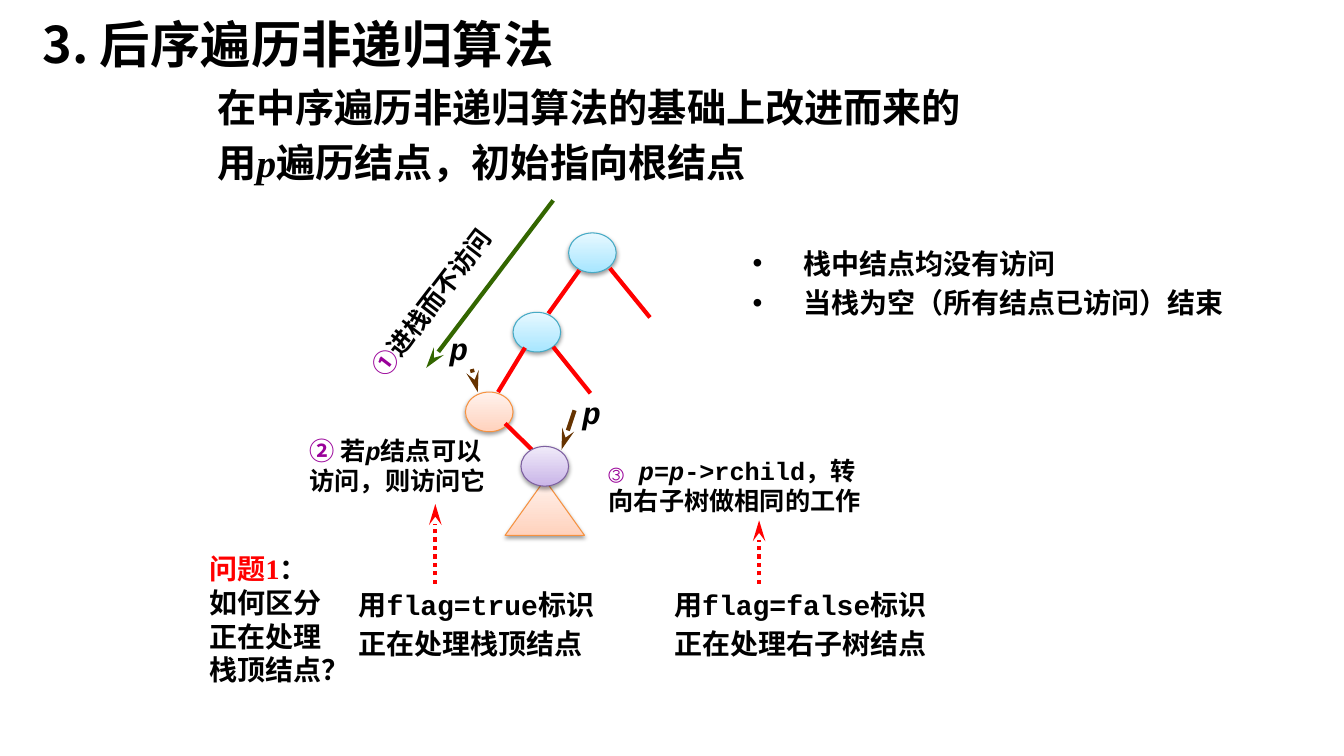
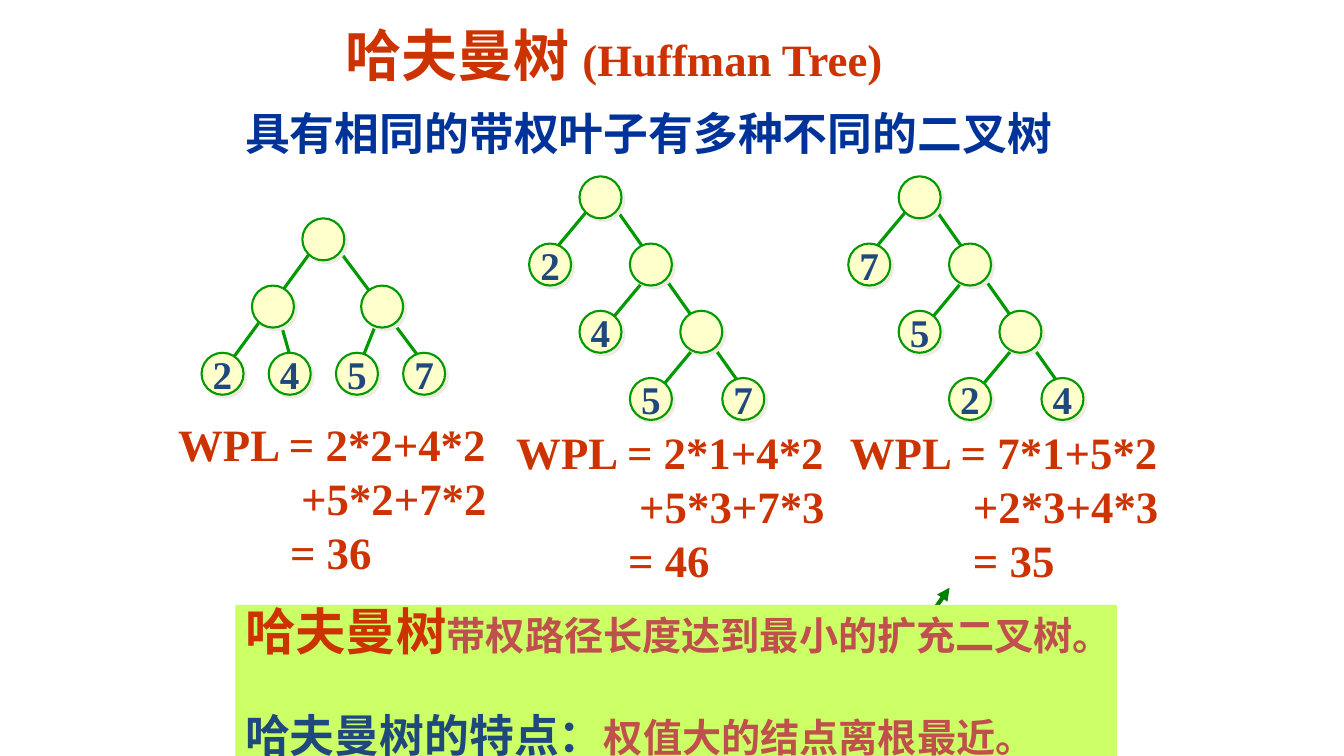
import pptx
import pptx.util
import pptx.dml.color
import pptx.enum.dml
import pptx.enum.shapes
import pptx.enum.text
import pptx.oxml.ns
import lxml.etree

Cm = pptx.util.Cm
Pt = pptx.util.Pt
SHAPE = pptx.enum.shapes.MSO_SHAPE
ANCHOR = pptx.enum.text.MSO_ANCHOR
ALIGN = pptx.enum.text.PP_ALIGN

HAN, SERIF, MONO = "Noto Sans CJK SC", "Times New Roman", "Courier New"
BLACK, RED, PURPLE = "000000", "FF0000", "990099"
BROWN, DARK_GREEN = "663300", "336600"
RUST, BRICK, NAVY, BLUE = "CC3300", "C0504D", "1F497D", "003399"
EDGE_GREEN, CREAM, LIME, ARROW_GREEN = "009900", "FFFFCC", "CCFF66", "008000"
LINE_PITCH = 1.2

SOFT_SHADOW = {"color": BLACK, "alpha": 38, "blur": 3.1, "dist": 1.6, "angle": 90}
HARD_SHADOW = {"color": "EEECE1", "alpha": 100, "blur": 0, "dist": 2.8, "angle": 45}
SKY = ("A7E6FF", "E7F8FF", "46AAC5")
PEACH = ("FFD2BD", "FFF2ED", "F69240")
LILAC = ("C9B5E8", "F0EAF9", "7D60A0")

ITALIC = {"italic": True}
MARK = {"color": PURPLE}

TRAVERSAL_TEXTS = [
    {"at": (0.82, 0.2, 21.01, 2.13), "size": 36, "font": HAN, "fill": "FFFFFF",
     "paras": [["3. 后序遍历非递归算法"]]},
    {"at": (5.23, 1.98, 23.09, 1.45), "size": 28, "font": HAN,
     "paras": [["在中序遍历非递归算法的基础上改进而来的"]]},
    {"at": (5.23, 3.36, 20.24, 1.45), "size": 28,
     "paras": [["用", ("p", ITALIC), "遍历结点，初始指向根结点"]]},
    {"at": (7.95, 6.22, 7.21, 1.02), "size": 18, "rotation": 307.4,
     "paras": [[("①", MARK), "进栈而不访问"]]},
    {"at": (7.8, 10.97, 4.78, 1.55), "size": 18, "font": MONO, "insets": (0, 0, 0, 0),
     "paras": [[("② ", MARK), "若", ("p", ITALIC), "结点可以访问，则访问它"]]},
    {"at": (15.34, 11.48, 6.76, 1.52), "size": 18, "font": MONO, "insets": (0, 0, 0, 0),
     "paras": [[("③ ", MARK), ("p", ITALIC), "=", ("p", ITALIC),
                "->rchild，转向右子树做相同的工作"]]},
    {"at": (18.72, 5.94, 14.05, 2.26), "size": 20, "spacing": 1.4, "bullet": True,
     "paras": [["栈中结点均没有访问"], ["当栈为空（所有结点已访问）结束"]]},
    {"at": (8.79, 14.88, 7.14, 1.96), "size": 20, "font": MONO, "spacing": 0.9, "before": 10,
     "paras": [["用flag=true标识"], ["正在处理栈顶结点"]]},
    {"at": (16.74, 14.88, 7.92, 1.96), "size": 20, "font": MONO, "spacing": 0.9, "before": 10,
     "paras": [["用flag=false标识"], ["正在处理右子树结点"]]},
    {"at": (5.03, 13.78, 3.76, 3.68), "size": 20,
     "paras": [[("问题1", {"color": RED}), "："], ["如何区分正在处理栈顶结点？"]]},
]
POINTER_LABELS = [(11.33, 8.31), (14.68, 9.91)]
UPPER_NODES = [(14.33, 5.87, SKY), (12.93, 7.87, SKY), (11.73, 9.88, PEACH)]
TOP_NODE = (13.13, 11.25, LILAC)
SUBTREE = (12.73, 12.09, 2, 1.4)
BRANCHES = [
    (14.6, 6.81, 13.82, 7.9),
    (13.23, 8.76, 12.55, 9.88),
    (15.37, 6.76, 16.38, 8),
    (13.94, 8.74, 14.88, 9.91),
    (12.73, 10.67, 13.74, 11.66),
]
STEP_ARROWS = [
    (11.89, 9.3, 12.04, 9.88, BROWN, False),
    (14.48, 10.34, 14.15, 11.33, BROWN, False),
    (13.94, 5.05, 10.74, 9.27, DARK_GREEN, False),
    (10.97, 14.71, 10.97, 12.7, RED, True),
    (19.13, 14.71, 19.13, 13.11, RED, True),
]

GRID = 2.54 / 12
NODE_CELLS = 5
BALANCED = {
    "edges": [(15, 2, 27, 18), (21, 12, 19, 17), (9, 11, 11, 18), (13, 4, 2, 19)],
    "inner": [(12, 0), (6, 8), (19, 8)],
    "leaves": [(0, 16), (8, 16), (16, 16), (24, 16)],
}
CHAIN = {
    "edges": [(7, 4, 2, 10), (14, 12, 9, 18), (20, 20, 15, 26), (9, 2, 26, 26)],
    "inner": [(6, 0), (12, 8), (18, 16)],
    "leaves": [(0, 8), (6, 16), (12, 24), (23, 24)],
}
TREES = [(BALANCED, 24, 26, "2457"), (CHAIN, 63, 21, "2457"), (CHAIN, 101, 21, "7524")]
SUMS = [
    (4.24, 10.37, 2.82, ("WPL = 2*2+4*2", "+5*2+7*2", "= 36")),
    (12.76, 10.58, 2.82, ("WPL = 2*1+4*2", "+5*3+7*3", "= 46")),
    (21.17, 10.58, 3.1, ("WPL = 7*1+5*2", "+2*3+4*3", "= 35")),
]
HUFFMAN_TEXTS = [
    {"at": (8.47, 0.42, 15.45, 1.9), "size": 40, "color": RUST, "anchor": ANCHOR.MIDDLE,
     "paras": [["哈夫曼树 ", ("(Huffman Tree)", {"size": 32})]]},
    {"at": (5.93, 2.54, 22.86, 1.63), "size": 32, "color": BLUE,
     "paras": [["具有相同的带权叶子有多种不同的二叉树"]]},
    {"at": (5.93, 15.24, 22.22, 3.81), "size": 28, "font": HAN, "color": BRICK,
     "fill": LIME, "insets": (0.25, 0, 0, 0), "spacing": 1.43, "before": 32,
     "paras": [[("哈夫曼树", {"size": 36, "color": RUST}), "带权路径长度达到最小的扩充二叉树。"],
               [("哈夫曼树的特点：", {"size": 32, "color": NAVY}), "权值大的结点离根最近。"]]},
]


def rgb(value):
    return pptx.dml.color.RGBColor.from_string(value)


def child(parent, tag, **attributes):
    return lxml.etree.SubElement(parent, pptx.oxml.ns.qn(tag), **attributes)


def style_span(span, size, font, color, italic=False):
    span.font.size = Pt(size)
    span.font.bold = True
    span.font.italic = italic
    span.font.color.rgb = rgb(color)
    span.font.name = font
    child(span.font._element, "a:ea", typeface=HAN)


def add_text(page, at, paras, size, font=SERIF, color=BLACK, spacing=LINE_PITCH, before=0,
             insets=(0.25, 0.13, 0.25, 0.13), anchor=ANCHOR.TOP, fill=None,
             rotation=0, bullet=False):
    box = page.shapes.add_textbox(*map(Cm, at))
    box.rotation = rotation
    if fill:
        box.fill.solid()
        box.fill.fore_color.rgb = rgb(fill)
    frame = box.text_frame
    frame.word_wrap = True
    frame.vertical_anchor = anchor
    frame.margin_left, frame.margin_top, frame.margin_right, frame.margin_bottom = map(Cm, insets)
    for index, spans in enumerate(paras):
        para = frame.add_paragraph() if index else frame.paragraphs[0]
        if spacing:
            para.line_spacing = Pt(round(size * spacing, 1))
        if index and before:
            para.space_before = Pt(before)
        if bullet:
            properties = para._p.get_or_add_pPr()
            properties.set("marL", str(Cm(1.27)))
            properties.set("indent", str(-Cm(1.27)))
            child(properties, "a:buFont", typeface="Arial")
            child(properties, "a:buChar", char="•")
        for item in spans:
            words, changes = (item, {}) if isinstance(item, str) else item
            span = para.add_run()
            span.text = words
            style_span(span, **{"size": size, "font": font, "color": color, **changes})
    return box


def add_line(page, ends, color, width, head=None, length="med", dotted=False):
    line = page.shapes.add_connector(pptx.enum.shapes.MSO_CONNECTOR.STRAIGHT, *map(Cm, ends))
    line.line.color.rgb = rgb(color)
    line.line.width = Pt(width)
    if dotted:
        line.line.dash_style = pptx.enum.dml.MSO_LINE.ROUND_DOT
    if head:
        child(line.line._get_or_add_ln(), "a:tailEnd", type=head, w="med", len=length)
    child(line._element.spPr, "a:effectLst")


def add_solid(page, kind, at, outline, width, shadow):
    shape = page.shapes.add_shape(kind, *map(Cm, at))
    shape.line.color.rgb = rgb(outline)
    shape.line.width = Pt(width)
    shape.shadow.inherit = False
    effects = shape._element.spPr.find(pptx.oxml.ns.qn("a:effectLst"))
    cast = child(effects, "a:outerShdw", blurRad=str(Pt(shadow["blur"])),
                 dist=str(Pt(shadow["dist"])), dir=str(shadow["angle"] * 60000),
                 algn="ctr", rotWithShape="0")
    tint = child(cast, "a:srgbClr", val=shadow["color"])
    child(tint, "a:alpha", val=str(shadow["alpha"] * 1000))
    return shape


def add_shaded(page, kind, at, tones):
    deep, pale, outline = tones
    shape = add_solid(page, kind, at, outline, 0.75, SOFT_SHADOW)
    shape.fill.gradient()
    shape.fill.gradient_angle = 90
    for stop, tone in zip(shape.fill.gradient_stops, (deep, pale)):
        stop.color.rgb = rgb(tone)


def add_tree_node(page, left, top, tones):
    add_shaded(page, SHAPE.OVAL, (left, top, 1.2, 1), tones)


def add_huffman_node(page, column, row, weight=""):
    at = (column * GRID, row * GRID, NODE_CELLS * GRID, NODE_CELLS * GRID)
    node = add_solid(page, SHAPE.OVAL, at, EDGE_GREEN, 1.5, HARD_SHADOW)
    node.fill.solid()
    node.fill.fore_color.rgb = rgb(CREAM)
    if weight:
        frame = node.text_frame
        frame.word_wrap = False
        frame.vertical_anchor = ANCHOR.MIDDLE
        frame.margin_left = frame.margin_top = frame.margin_right = frame.margin_bottom = 0
        frame.text = weight
        frame.paragraphs[0].alignment = ALIGN.CENTER
        style_span(frame.paragraphs[0].runs[0], 28, SERIF, NAVY)


def build_traversal(page):
    for node in UPPER_NODES:
        add_tree_node(page, *node)
    for ends in BRANCHES:
        add_line(page, ends, RED, 3)
    add_shaded(page, SHAPE.ISOSCELES_TRIANGLE, SUBTREE, PEACH)
    for *ends, color, dotted in STEP_ARROWS:
        add_line(page, ends, color, 3, "stealth", "lg", dotted)
    add_tree_node(page, *TOP_NODE)
    for left, top in POINTER_LABELS:
        add_text(page, (left, top, 0.79, 0.94), [[("p", ITALIC)]], 22, MONO,
                 spacing=None, insets=(0, 0, 0, 0))
    for block in TRAVERSAL_TEXTS:
        add_text(page, **block)


def build_huffman(page):
    for tree, column, row, weights in TREES:
        for x1, y1, x2, y2 in tree["edges"]:
            cells = (column + x1, row + y1, column + x2, row + y2)
            add_line(page, [cell * GRID for cell in cells], EDGE_GREEN, 2.25)
        labels = [""] * len(tree["inner"]) + list(weights)
        for (x, y), weight in zip(tree["inner"] + tree["leaves"], labels):
            add_huffman_node(page, column + x, row + y, weight)
    for left, top, result_indent, lines in SUMS:
        box = add_text(page, (left, top, 8.6, 4.37), [[line] for line in lines], 32,
                       color=RUST)
        for para, indent in zip(box.text_frame.paragraphs, (0, 3.1, result_indent)):
            para._p.get_or_add_pPr().set("marL", str(Cm(indent)))
    add_line(page, (22.43, 16.94, 23.93, 14.81), ARROW_GREEN, 3, "triangle")
    for block in HUFFMAN_TEXTS:
        add_text(page, **block)


def main():
    deck = pptx.Presentation()
    deck.slide_width, deck.slide_height = Cm(33.87), Cm(19.05)
    for build in (build_traversal, build_huffman):
        build(deck.slides.add_slide(deck.slide_layouts[6]))
    deck.save("out.pptx")


if __name__ == "__main__":
    main()
